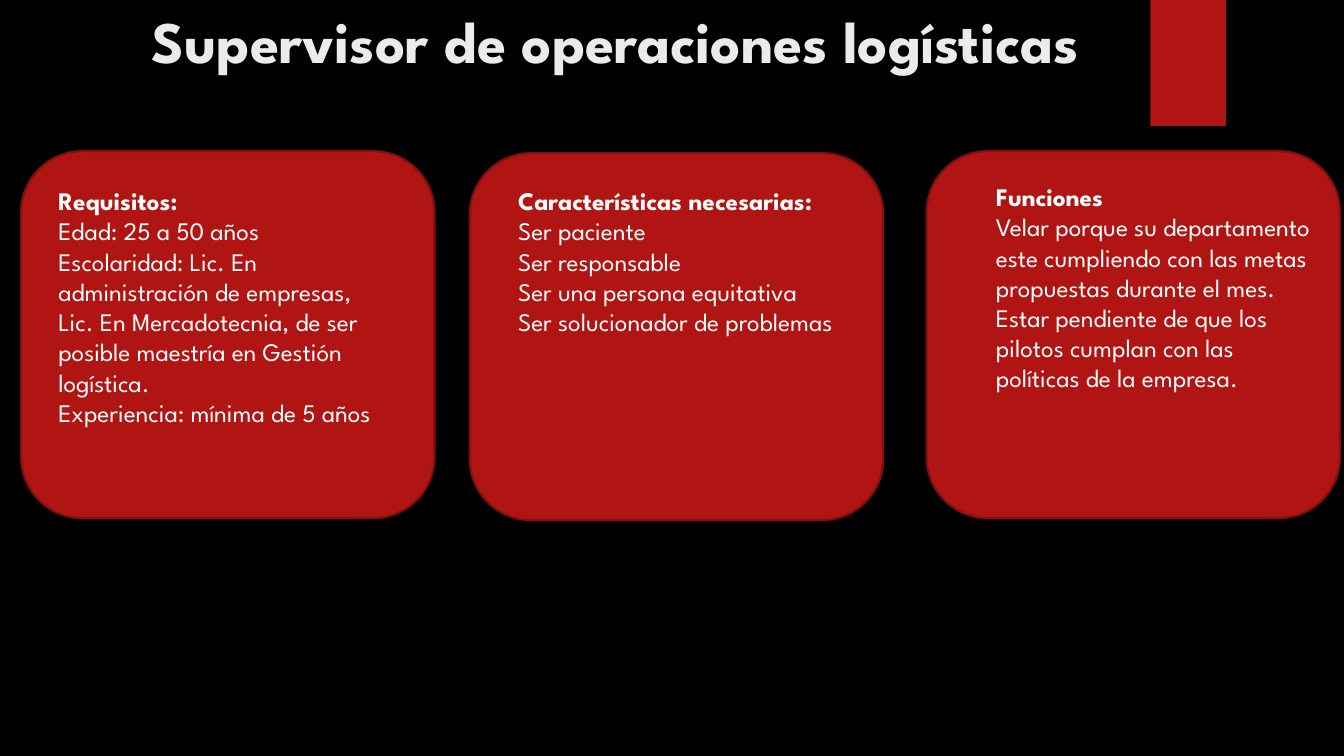
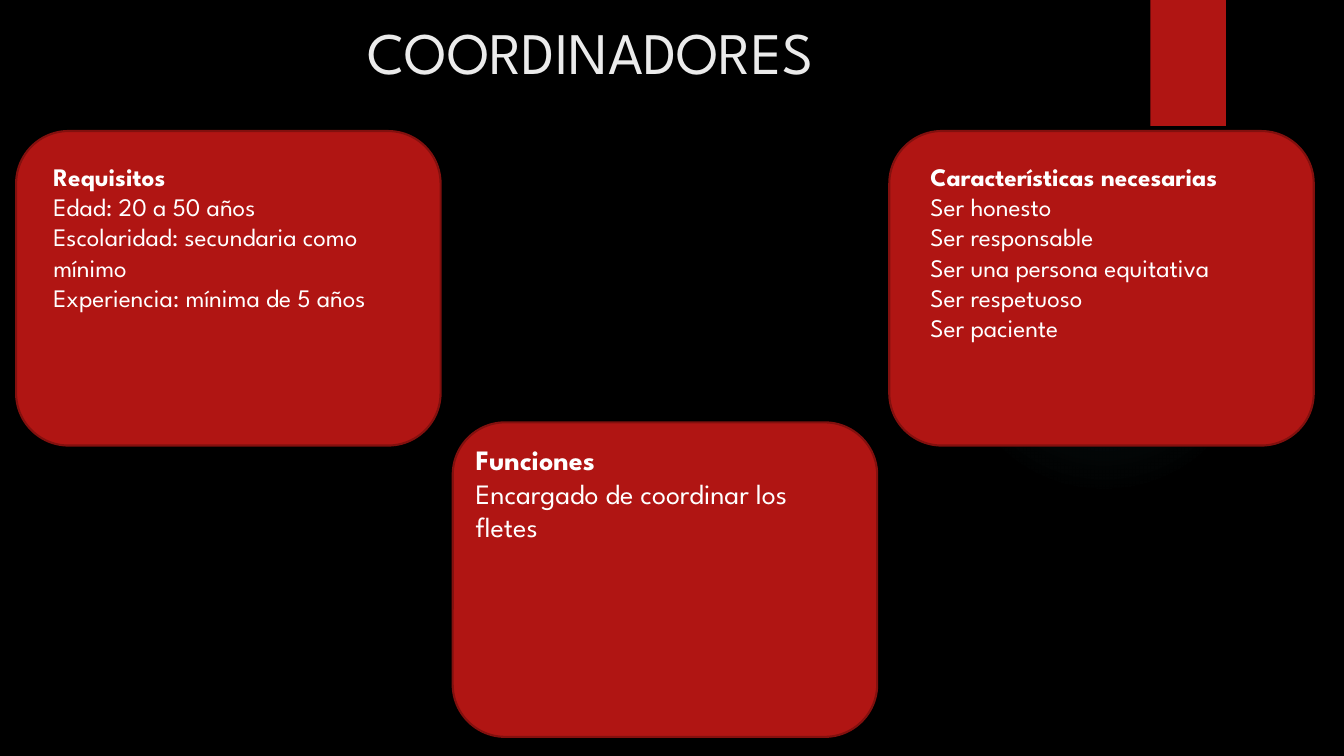
from pptx import Presentation
from pptx.dml.color import RGBColor
from pptx.enum import shapes, text
from pptx.oxml import parse_xml
from pptx.oxml.ns import nsdecls, qn
from pptx.util import Inches, Pt

FONT = "League Spartan"
BLACK = RGBColor(0x00, 0x00, 0x00)
RED = RGBColor(0xB0, 0x15, 0x13)
DARK_RED = RGBColor(0x82, 0x10, 0x0E)
TEAL = RGBColor(0x50, 0xB9, 0xC1)
PALE = RGBColor(0xEB, 0xEB, 0xEB)
WHITE = RGBColor(0xFF, 0xFF, 0xFF)


def inches(box):
    return [Inches(v) for v in box]


def add_filled(s, kind, box, line=None):
    sp = s.shapes.add_shape(kind, *inches(box))
    sp.shadow.inherit = False
    sp.fill.solid()
    sp.fill.fore_color.rgb = RED
    if line is None:
        sp.line.fill.background()
    else:
        sp.line.color.rgb = line
        sp.line.width = Pt(1.5)
    return sp


def add_text(s, box, lines, size, color, bold_first=True, align=text.PP_ALIGN.LEFT):
    tf = s.shapes.add_textbox(*inches(box)).text_frame
    tf.word_wrap = True
    for i, line in enumerate(lines):
        p = tf.add_paragraph() if i else tf.paragraphs[0]
        p.text = line
        p.alignment = align
        p.font.name = FONT
        p.font.size = Pt(size)
        p.font.color.rgb = color
        p.font.bold = bold_first and i == 0
    return tf


def add_glow(s, box):
    sp = add_filled(s, shapes.MSO_SHAPE.OVAL, box)
    stops = "".join(
        f'<a:gs pos="{pos * 1000}"><a:srgbClr val="{TEAL}">'
        f'<a:alpha val="{alpha * 1000}"/></a:srgbClr></a:gs>'
        for pos, alpha in ((0, 7), (36, 6), (69, 0)))
    gradient = parse_xml(
        f'<a:gradFill {nsdecls("a")}><a:gsLst>{stops}</a:gsLst><a:path path="circle">'
        '<a:fillToRect l="50000" t="50000" r="50000" b="50000"/></a:path></a:gradFill>')
    spPr = sp._element.spPr
    spPr.replace(spPr.find(qn("a:solidFill")), gradient)


def add_card(s, box, text_offset, text_size, lines, size=18):
    left, top, width, height = box
    dx, dy = text_offset
    add_filled(s, shapes.MSO_SHAPE.ROUNDED_RECTANGLE, box, DARK_RED)
    add_text(s, (left + dx, top + dy, *text_size), lines, size, WHITE)


def add_role_slide(prs, title, title_box, bold, glow=None):
    s = prs.slides.add_slide(prs.slide_layouts[6])
    if glow:
        add_glow(s, glow)
    add_filled(s, shapes.MSO_SHAPE.RECTANGLE, (11.41, 0, 0.75, 1.25))
    add_text(s, title_box, [title], 42, PALE, bold, text.PP_ALIGN.CENTER)
    return s


def build_supervisor(prs):
    s = add_role_slide(prs, "Supervisor de operaciones logísticas",
                       (0.96, 0, 10.29, 1.53), True)
    card = (4.1, 3.64)
    add_card(s, (0.21, 1.5, *card), (0.27, 0.29), (3.46, 3.13), [
        "Requisitos:",
        "Edad: 25 a 50 años",
        "Escolaridad: Lic. En administración de empresas, Lic. En Mercadotecnia, "
        "de ser posible maestría en Gestión logística.",
        "Experiencia: mínima de 5 años"])
    add_card(s, (4.66, 1.52, *card), (0.38, 0.27), (3.46, 2.52), [
        "Características necesarias:",
        "Ser paciente",
        "Ser responsable",
        "Ser una persona equitativa",
        "Ser solucionador de problemas"])
    add_card(s, (9.19, 1.5, *card), (0.59, 0.25), (3.43, 3.13), [
        "Funciones",
        "Velar porque su departamento este cumpliendo con las metas "
        "propuestas durante el mes.",
        "Estar pendiente de que los pilotos cumplan con las políticas de la empresa."])


def build_coordinators(prs):
    s = add_role_slide(prs, "COORDINADORES", (0.71, 0.11, 10.29, 1.01), False,
                       glow=(9.41, 1.83, 3.08, 3.08))
    card = (4.21, 3.12)
    left, step = 0.16, 4.33
    add_card(s, (left, 1.3, *card), (0.27, 0.25), (3.72, 1.92), [
        "Requisitos",
        "Edad: 20 a 50 años",
        "Escolaridad: secundaria como mínimo",
        "Experiencia: mínima de 5 años"])
    add_card(s, (left + step, 4.19, *card), (0.13, 0.15), (3.72, 1.11), [
        "Funciones",
        "Encargado de coordinar los fletes"], size=20)
    add_card(s, (left + 2 * step, 1.3, *card), (0.31, 0.25), (3.72, 1.92), [
        "Características necesarias",
        "Ser honesto",
        "Ser responsable",
        "Ser una persona equitativa",
        "Ser respetuoso",
        "Ser paciente"])


prs = Presentation()
prs.slide_width = Inches(13.33)
prs.slide_height = Inches(7.5)
background = prs.slide_master.background.fill
background.solid()
background.fore_color.rgb = BLACK
build_supervisor(prs)
build_coordinators(prs)
prs.save("out.pptx")
